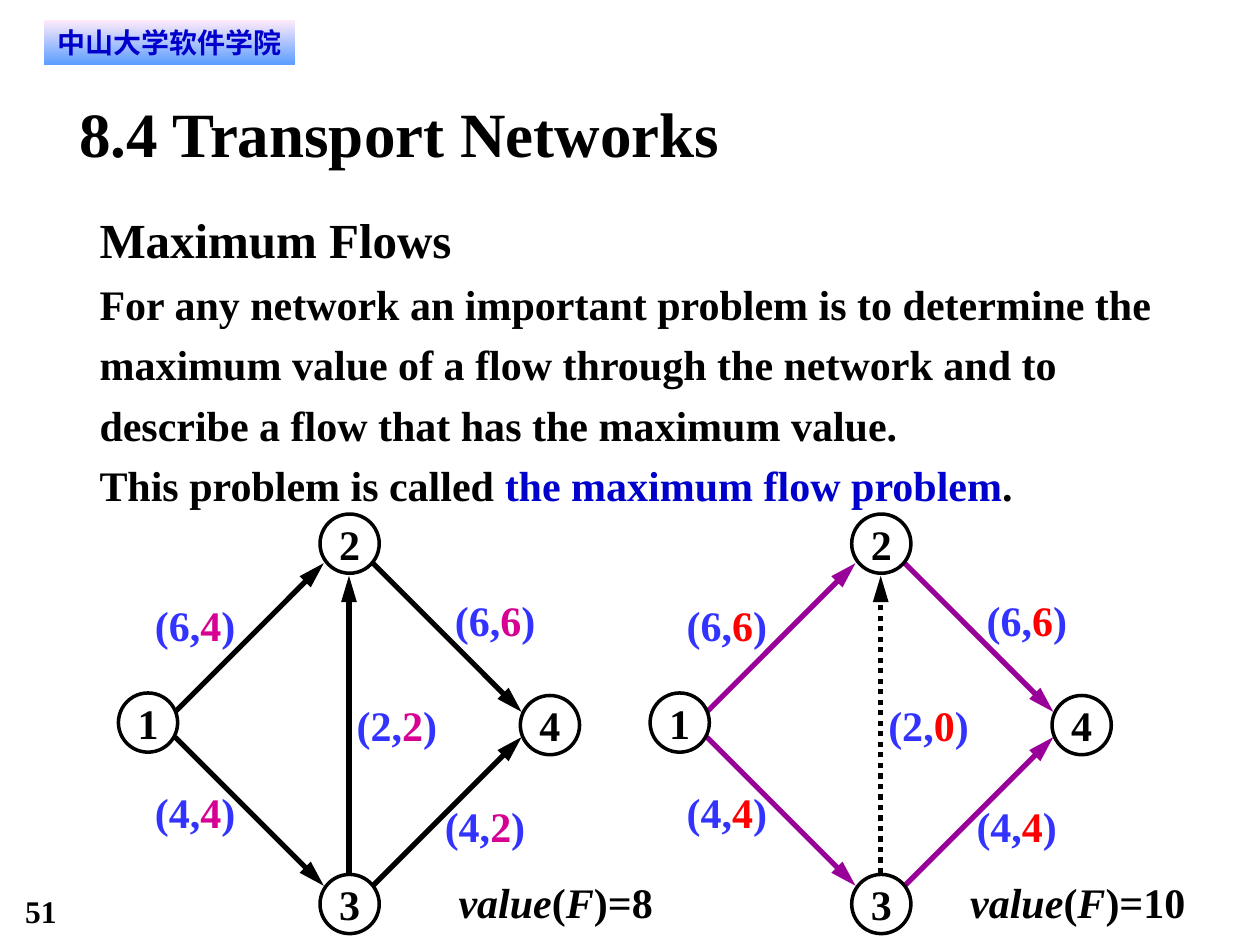
from typing import NamedTuple

from lxml import etree
from pptx import Presentation
from pptx.dml.color import RGBColor
from pptx.enum import dml, shapes, text
from pptx.oxml.ns import qn
from pptx.util import Inches, Pt

BLACK = RGBColor(0x00, 0x00, 0x00)
NAVY = RGBColor(0x00, 0x00, 0xCC)
BLUE = RGBColor(0x33, 0x33, 0xFF)
MAGENTA = RGBColor(0xD6, 0x00, 0x93)
RED = RGBColor(0xFF, 0x00, 0x00)
PURPLE = RGBColor(0x99, 0x00, 0x99)
PINK = RGBColor(0xFF, 0xEB, 0xFA)
SKY = RGBColor(0x5E, 0x9E, 0xFF)
SERIF = "Times New Roman"
DIAMETER = 0.47


class Run(NamedTuple):
    text: str
    color: RGBColor = BLACK
    italic: bool = False


class Node(NamedTuple):
    name: str
    x: float
    y: float


class Edge(NamedTuple):
    start: tuple[float, float]
    end: tuple[float, float]
    label: tuple[float, float]
    capacity: int


class Network(NamedTuple):
    left: float
    flows: list[int]
    flow_color: RGBColor
    edge_color: RGBColor
    middle_dash: dml.MSO_LINE | None
    value: str
    value_at: tuple[float, float]


NODES = [Node("1", 0.94, 5.5), Node("2", 2.54, 4.08), Node("3", 2.54, 6.94), Node("4", 4.13, 5.52)]
MIDDLE = Edge((2.77, 6.93), (2.77, 4.57), (2.83, 5.55), 2)
EDGES = [
    MIDDLE,
    Edge((2.96, 7.03), (4.14, 5.85), (3.53, 6.35), 4),
    Edge((2.96, 4.47), (4.14, 5.65), (3.61, 4.72), 6),
    Edge((1.39, 5.65), (2.57, 4.47), (1.23, 4.76), 6),
    Edge((1.39, 5.85), (2.57, 7.03), (1.23, 6.24), 4),
]
NETWORKS = [
    Network(0, [2, 2, 6, 4, 4], MAGENTA, BLACK, None, ")=8", (3.64, 1.56)),
    Network(4.22, [0, 4, 6, 6, 4], RED, PURPLE, dml.MSO_LINE.ROUND_DOT, ")=10", (7.7, 1.72)),
]


def write(p, runs: list[Run], size: float, font: str = SERIF) -> None:
    p.font.size = Pt(size)
    p.font.bold = True
    p.font.name = font
    for run in runs:
        r = p.add_run()
        r.text = run.text
        r.font.color.rgb = run.color
        if run.italic:
            r.font.italic = True


def prepare(tf, wrap: bool) -> None:
    tf.margin_left = tf.margin_right = tf.margin_top = tf.margin_bottom = 0
    tf.word_wrap = wrap


def add_text(parent, x: float, y: float, w: float, h: float,
             runs: list[Run], size: float, wrap: bool = False):
    tb = parent.add_textbox(Inches(x), Inches(y), Inches(w), Inches(h))
    tf = tb.text_frame
    prepare(tf, wrap)
    tf.auto_size = text.MSO_AUTO_SIZE.SHAPE_TO_FIT_TEXT
    write(tf.paragraphs[0], runs, size)
    return tf


def add_edge(parent, edge: Edge, left: float, color: RGBColor, dash) -> None:
    (x1, y1), (x2, y2) = edge.start, edge.end
    cn = parent.add_connector(shapes.MSO_CONNECTOR.STRAIGHT, Inches(x1 + left), Inches(y1),
                              Inches(x2 + left), Inches(y2))
    cn.line.color.rgb = color
    cn.line.width = Pt(3)
    if dash is not None:
        cn.line.dash_style = dash
    sp_pr = cn._element.spPr
    etree.SubElement(sp_pr.find(qn("a:ln")), qn("a:tailEnd"), type="triangle", len="lg")
    etree.SubElement(sp_pr, qn("a:effectLst"))


def add_node(parent, node: Node, left: float) -> None:
    sp = parent.add_shape(shapes.MSO_SHAPE.OVAL, Inches(node.x + left), Inches(node.y),
                          Inches(DIAMETER), Inches(DIAMETER))
    sp.shadow.inherit = False
    sp.fill.background()
    sp.line.color.rgb = BLACK
    sp.line.width = Pt(2)
    tf = sp.text_frame
    prepare(tf, False)
    tf.vertical_anchor = text.MSO_ANCHOR.MIDDLE
    p = tf.paragraphs[0]
    p.alignment = text.PP_ALIGN.CENTER
    write(p, [Run(node.name)], 24)


def add_network(s, net: Network) -> None:
    group = s.shapes.add_group_shape().shapes
    for edge in EDGES:
        add_edge(group, edge, net.left, BLACK if edge is MIDDLE else net.edge_color,
                 net.middle_dash if edge is MIDDLE else None)
    for edge, flow in zip(EDGES, net.flows):
        x, y = edge.label
        label = [Run(f"({edge.capacity},", BLUE), Run(str(flow), net.flow_color), Run(")", BLUE)]
        add_text(group, x + net.left, y, 0.64, 0.4, label, 24)
    for node in NODES:
        add_node(group, node, net.left)
    x, w = net.value_at
    add_text(s.shapes, x, 6.96, w, 0.4,
             [Run("value", italic=True), Run("("), Run("F", italic=True), Run(net.value)], 24)


def add_banner(s) -> None:
    sp = s.shapes.add_shape(shapes.MSO_SHAPE.RECTANGLE, Inches(0.35), Inches(0.16),
                            Inches(1.99), Inches(0.35))
    sp.shadow.inherit = False
    sp.line.fill.background()
    sp.fill.gradient()
    sp.fill.gradient_angle = 270
    for stop, color, position in zip(sp.fill.gradient_stops, (PINK, SKY), (0, 1)):
        stop.color.rgb = color
        stop.position = position
    tf = sp.text_frame
    prepare(tf, True)
    tf.vertical_anchor = text.MSO_ANCHOR.TOP
    tf.margin_left = tf.margin_right = Inches(0.08)
    tf.margin_top = tf.margin_bottom = Inches(0.04)
    p = tf.paragraphs[0]
    p.alignment = text.PP_ALIGN.CENTER
    write(p, [Run("中山大学软件学院", NAVY)], 16, "DejaVu Sans")


def add_body(s) -> None:
    tf = add_text(s.shapes, 0.79, 1.57, 8.6, 2.48, [Run("Maximum Flows")], 28, True)
    write(tf.add_paragraph(), [Run(
        "For any network an important problem is to determine the maximum value of a flow "
        "through the network and to describe a flow that has the maximum value.")], 24)
    write(tf.add_paragraph(), [Run("This problem is called "),
                               Run("the maximum flow problem", NAVY), Run(".")], 24)
    for p in tf.paragraphs:
        p.line_spacing = 1.2


def main() -> None:
    prs = Presentation()
    prs.slide_width, prs.slide_height = Inches(10), Inches(7.5)
    s = prs.slides.add_slide(prs.slide_layouts[6])
    add_text(s.shapes, 0.2, 7.08, 0.75, 0.3, [Run("51")], 18, True)
    add_banner(s)
    add_body(s)
    add_text(s.shapes, 0.63, 0.75, 8.75, 0.6, [Run("8.4 Transport Networks")], 36, True)
    for net in NETWORKS:
        add_network(s, net)
    prs.save("out.pptx")


if __name__ == "__main__":
    main()
